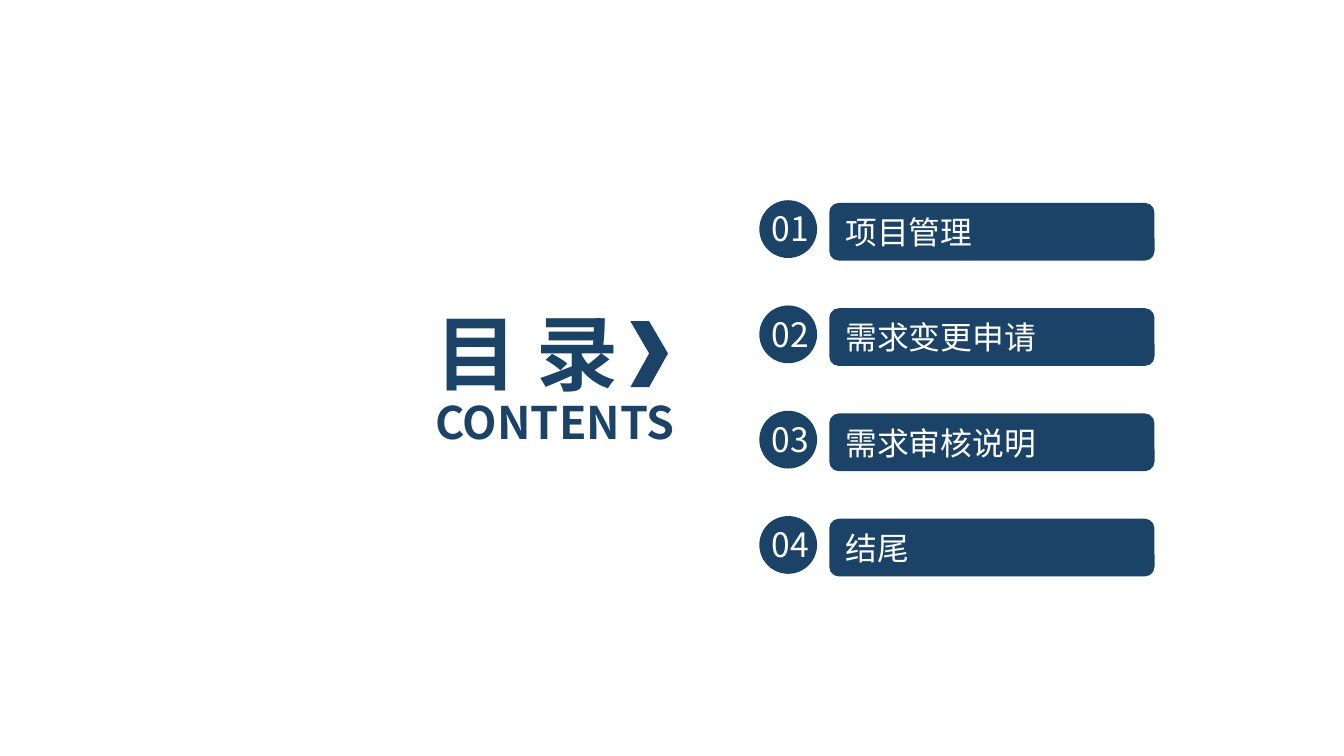
from dataclasses import dataclass

import pptx
import pptx.dml.color
import pptx.enum.shapes
import pptx.enum.text
import pptx.oxml.ns
import pptx.util
from pptx.util import Inches

ALIGN = pptx.enum.text.PP_ALIGN
SHAPE = pptx.enum.shapes.MSO_SHAPE


@dataclass(frozen=True)
class Theme:
    navy: str = "1B4367"
    white: str = "FFFFFF"
    font: str = "Noto Sans CJK SC"
    title: int = 44
    subtitle: int = 24
    number: int = 18
    entry: int = 17


@dataclass(frozen=True)
class Entry:
    number: str
    text: str


THEME = Theme()
ENTRIES = [
    Entry("01", "项目管理"),
    Entry("02", "需求变更申请"),
    Entry("03", "需求审核说明"),
    Entry("04", "结尾"),
]
FIRST_TOP = 1.51
PITCH = 2.35 / 3  # first to last entry, in three equal steps


def place(sp, left: float, top: float, width: float, height: float) -> None:
    sp.left, sp.top = Inches(left), Inches(top)
    sp.width, sp.height = Inches(width), Inches(height)


def write(sp, text: str, *, size: int, color: str, bold: bool = False,
          align=ALIGN.LEFT) -> None:
    tf = sp.text_frame
    tf.word_wrap = True
    tf.auto_size = pptx.enum.text.MSO_AUTO_SIZE.SHAPE_TO_FIT_TEXT
    tf.vertical_anchor = pptx.enum.text.MSO_ANCHOR.MIDDLE
    p = tf.paragraphs[0]
    p.alignment = align
    r = p.add_run()
    r.text = text
    r.font.name = THEME.font
    r.font.size = pptx.util.Pt(size)
    r.font.bold = bold
    r.font.color.rgb = pptx.dml.color.RGBColor.from_string(color)
    # Chinese characters take the East Asian font
    ea = r.font._element.makeelement(pptx.oxml.ns.qn("a:ea"), {"typeface": THEME.font})
    r.font._element.find(pptx.oxml.ns.qn("a:latin")).addnext(ea)


def paint(sp) -> None:
    sp.shadow.inherit = False
    sp.fill.solid()
    sp.fill.fore_color.rgb = pptx.dml.color.RGBColor.from_string(THEME.navy)
    sp.line.fill.background()


def add_entry(s, entry: Entry, top: float) -> None:
    # Bar with the section name
    bar = s.shapes.add_shape(SHAPE.ROUNDED_RECTANGLE, Inches(6.17), Inches(top),
                             Inches(2.42), Inches(0.43))
    bar.adjustments[0] = 0.167
    paint(bar)
    write(bar, entry.text, size=THEME.entry, color=THEME.white)

    # Numbered badge
    badge = s.shapes.add_group_shape()
    circle = badge.shapes.add_shape(SHAPE.OVAL, Inches(5.65), Inches(top - 0.02),
                                    Inches(0.43), Inches(0.43))
    paint(circle)
    number = badge.shapes.add_textbox(Inches(5.62), Inches(top - 0.01),
                                      Inches(0.52), Inches(0.4))
    write(number, entry.number, size=THEME.number, color=THEME.white,
          align=ALIGN.CENTER)


def add_chevron(s) -> None:
    left, middle, right = Inches(4.69), Inches(4.83), Inches(4.97)
    top, center, bottom = Inches(2.39), Inches(2.63), Inches(2.88)
    builder = s.shapes.build_freeform(left, top)
    builder.add_line_segments([(middle, top), (right, center), (middle, bottom),
                               (left, bottom), (middle, center)], close=True)
    paint(builder.convert_to_shape())


def main() -> None:
    prs = pptx.Presentation()
    prs.slide_width = Inches(10)
    prs.slide_height = prs.slide_width * 9 // 16
    s = prs.slides.add_slide(prs.slide_layouts[5])

    # Heading
    title = s.shapes.title
    place(title, 3.14, 2.2, 2.35, 0.84)
    write(title, "目 录", size=THEME.title, color=THEME.navy, bold=True)
    subtitle = s.shapes.add_textbox(Inches(3.14), Inches(2.89),
                                    Inches(2.31), Inches(0.5))
    write(subtitle, "CONTENTS", size=THEME.subtitle, color=THEME.navy, bold=True)

    # Contents list
    for i, entry in enumerate(ENTRIES):
        add_entry(s, entry, FIRST_TOP + i * PITCH)

    add_chevron(s)
    prs.save("out.pptx")


if __name__ == "__main__":
    main()
